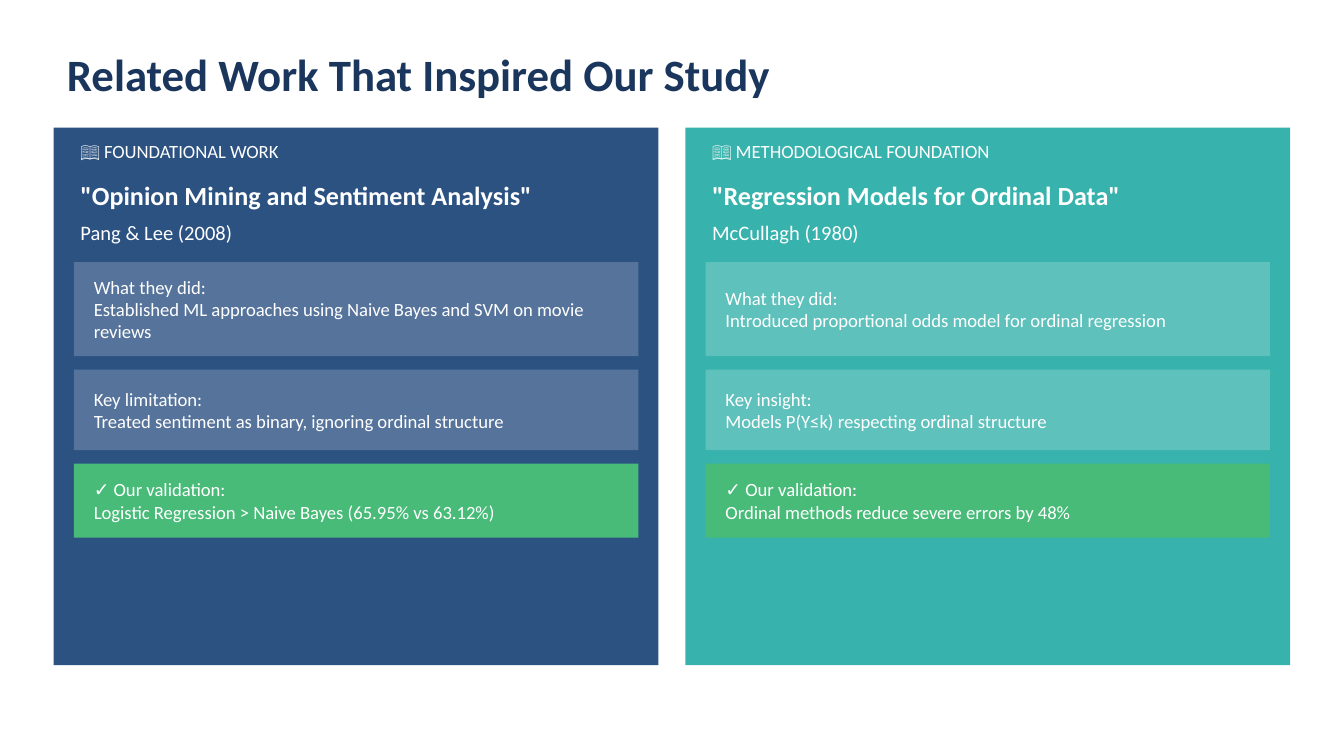
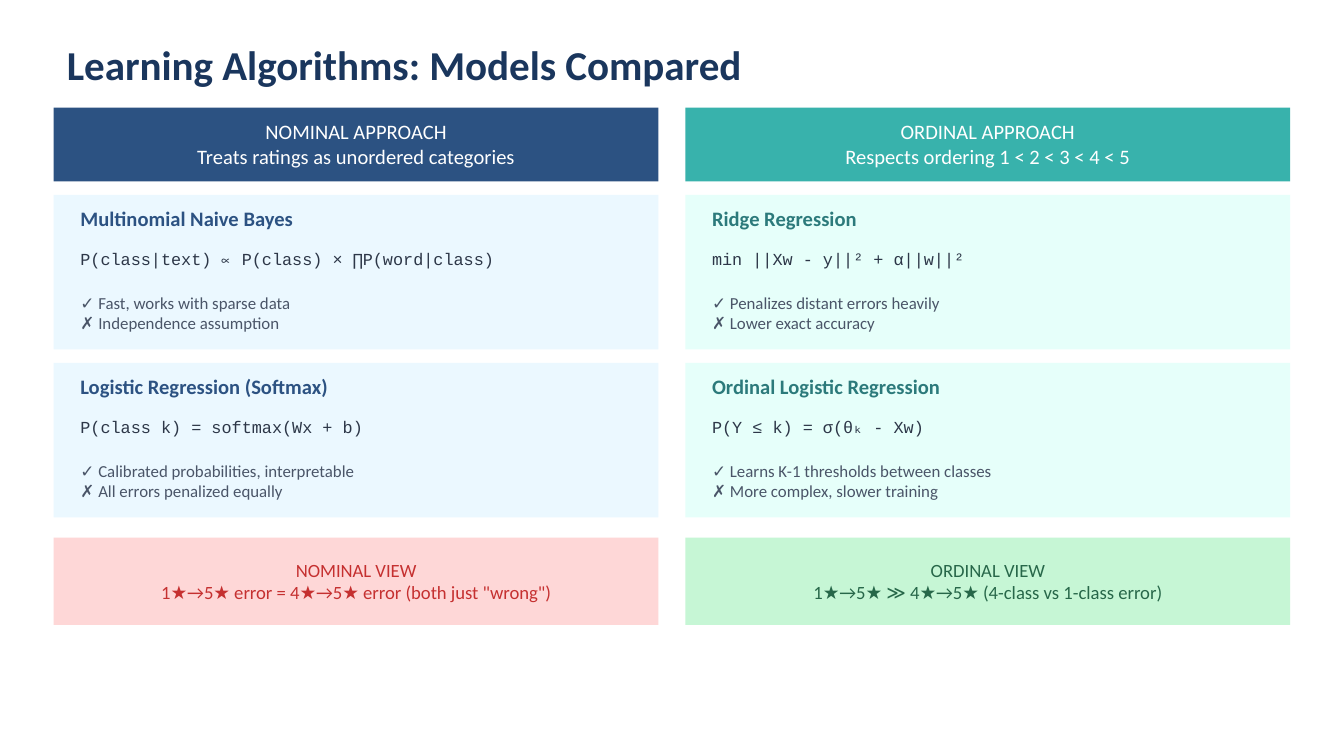
from lxml import etree
from pptx import Presentation
from pptx.dml.color import RGBColor
from pptx.enum.shapes import MSO_SHAPE
from pptx.enum.text import MSO_ANCHOR, PP_ALIGN
from pptx.oxml.ns import qn
from pptx.util import Inches, Pt

RECTANGLE = MSO_SHAPE.RECTANGLE
MIDDLE = MSO_ANCHOR.MIDDLE
LEFT, CENTER = PP_ALIGN.LEFT, PP_ALIGN.CENTER

SANS, MONO = "Calibri", "Courier New"
WHITE, NAVY, BLUE, TEAL, GREEN = "FFFFFF", "1A365D", "2C5282", "38B2AC", "48BB78"
INK, SLATE = "2D3748", "4A5568"

SLIDE_WIDTH = 10
SLIDE_HEIGHT = SLIDE_WIDTH * 9 / 16
MARGIN, GUTTER, PADDING = 0.4, 0.2, 0.1
CONTENT_WIDTH = SLIDE_WIDTH - 2 * MARGIN
COLUMN_WIDTH = (CONTENT_WIDTH - GUTTER) / 2
ROW_GAP = 0.1
INSET = 0.05

RELATED_TITLE = "Related Work That Inspired Our Study"
PAPERS = [
    {
        "color": BLUE,
        "label": "📖 FOUNDATIONAL WORK",
        "paper": '"Opinion Mining and Sentiment Analysis"',
        "authors": "Pang & Lee (2008)",
        "notes": [
            ("What they did:",
             "Established ML approaches using Naive Bayes and SVM on movie reviews"),
            ("Key limitation:", "Treated sentiment as binary, ignoring ordinal structure"),
            ("✓ Our validation:", "Logistic Regression > Naive Bayes (65.95% vs 63.12%)"),
        ],
    },
    {
        "color": TEAL,
        "label": "📖 METHODOLOGICAL FOUNDATION",
        "paper": '"Regression Models for Ordinal Data"',
        "authors": "McCullagh (1980)",
        "notes": [
            ("What they did:", "Introduced proportional odds model for ordinal regression"),
            ("Key insight:", "Models P(Y≤k) respecting ordinal structure"),
            ("✓ Our validation:", "Ordinal methods reduce severe errors by 48%"),
        ],
    },
]
# height, fill, opacity in percent
NOTE_STYLES = [(0.7, WHITE, 20), (0.6, WHITE, 20), (0.55, GREEN, 100)]

MODELS_TITLE = "Learning Algorithms: Models Compared"
APPROACHES = [
    {
        "color": BLUE, "card": "EBF8FF", "name_color": BLUE,
        "header": ("NOMINAL APPROACH", "Treats ratings as unordered categories"),
        "models": [
            ("Multinomial Naive Bayes", "P(class|text) ∝ P(class) × ∏P(word|class)",
             ("✓ Fast, works with sparse data", "✗ Independence assumption")),
            ("Logistic Regression (Softmax)", "P(class k) = softmax(Wx + b)",
             ("✓ Calibrated probabilities, interpretable", "✗ All errors penalized equally")),
        ],
        "view": ("NOMINAL VIEW", '1★→5★ error = 4★→5★ error (both just "wrong")'),
        "view_fill": "FED7D7", "view_color": "C53030",
    },
    {
        "color": TEAL, "card": "E6FFFA", "name_color": "2C7A7B",
        "header": ("ORDINAL APPROACH", "Respects ordering 1 < 2 < 3 < 4 < 5"),
        "models": [
            ("Ridge Regression", "min ||Xw - y||² + α||w||²",
             ("✓ Penalizes distant errors heavily", "✗ Lower exact accuracy")),
            ("Ordinal Logistic Regression", "P(Y ≤ k) = σ(θₖ - Xw)",
             ("✓ Learns K-1 thresholds between classes", "✗ More complex, slower training")),
        ],
        "view": ("ORDINAL VIEW", "1★→5★ ≫ 4★→5★ (4-class vs 1-class error)"),
        "view_fill": "C6F6D5", "view_color": "276749",
    },
]


def rgb(color):
    return RGBColor.from_string(color)


def column_left(column):
    return MARGIN + column * (COLUMN_WIDTH + GUTTER)


def add_panel(slide, left, top, width, height, color, opacity=100):
    shape = slide.shapes.add_shape(
        RECTANGLE, Inches(left), Inches(top), Inches(width), Inches(height))
    shape.shadow.inherit = False
    shape.line.fill.background()
    shape.fill.solid()
    shape.fill.fore_color.rgb = rgb(color)
    if opacity < 100:
        color_element = shape.fill._xPr.find(".//" + qn("a:srgbClr"))
        etree.SubElement(color_element, qn("a:alpha"), val=str(opacity * 1000))


def add_text(slide, left, top, width, height, lines, size, color,
             bold=False, font=SANS, align=LEFT):
    """Add a vertically centred text box with one paragraph per line."""
    box = slide.shapes.add_textbox(
        Inches(left), Inches(top), Inches(width), Inches(height))
    frame = box.text_frame
    frame.word_wrap = True
    frame.vertical_anchor = MIDDLE
    frame.text = "\n".join(lines)
    for paragraph in frame.paragraphs:
        paragraph.alignment = align
        paragraph.font.name = font
        paragraph.font.size = Pt(size)
        paragraph.font.bold = bold
        paragraph.font.color.rgb = rgb(color)


def add_column_text(slide, column, top, height, lines, size, color, **style):
    add_text(slide, column_left(column) + PADDING, top, COLUMN_WIDTH - 2 * PADDING,
             height, lines, size, color, **style)


def add_titled_slide(presentation, title, top, height, size):
    slide = presentation.slides.add_slide(presentation.slide_layouts[6])
    slide.background.fill.solid()
    slide.background.fill.fore_color.rgb = rgb(WHITE)
    add_text(slide, MARGIN, top, CONTENT_WIDTH, height, [title], size, NAVY, bold=True)
    return slide


def add_paper(slide, column, paper):
    left = column_left(column)
    add_panel(slide, left, 0.95, COLUMN_WIDTH, 4, paper["color"])
    add_column_text(slide, column, 1, 0.25, [paper["label"]], 10, WHITE)
    add_column_text(slide, column, 1.3, 0.3, [paper["paper"]], 14, WHITE, bold=True)
    add_column_text(slide, column, 1.6, 0.25, [paper["authors"]], 11, WHITE)

    note_left = left + PADDING + INSET
    note_width = COLUMN_WIDTH - 2 * (PADDING + INSET)
    top = 1.95
    for lines, (height, fill, opacity) in zip(paper["notes"], NOTE_STYLES):
        add_panel(slide, note_left, top, note_width, height, fill, opacity)
        add_text(slide, note_left + INSET, top + INSET, note_width - 2 * INSET,
                 height - 2 * INSET, lines, 10, WHITE)
        top += height + ROW_GAP


def add_approach(slide, column, approach):
    left = column_left(column)
    add_panel(slide, left, 0.8, COLUMN_WIDTH, 0.55, approach["color"])
    add_column_text(slide, column, 0.82, 0.5, approach["header"], 11, WHITE, align=CENTER)

    card_height = 1.15
    for row, (name, formula, verdicts) in enumerate(approach["models"]):
        top = 1.45 + row * (card_height + ROW_GAP)
        add_panel(slide, left, top, COLUMN_WIDTH, card_height, approach["card"])
        add_column_text(slide, column, top + INSET, 0.25, [name], 11,
                        approach["name_color"], bold=True)
        add_column_text(slide, column, top + 0.35, 0.25, [formula], 9, INK, font=MONO)
        add_column_text(slide, column, top + 0.65, 0.45, verdicts, 9, SLATE)

    add_panel(slide, left, 4, COLUMN_WIDTH, 0.65, approach["view_fill"])
    add_column_text(slide, column, 4 + INSET, 0.55, approach["view"], 10,
                    approach["view_color"], align=CENTER)


def main():
    presentation = Presentation()
    presentation.slide_width = Inches(SLIDE_WIDTH)
    presentation.slide_height = Inches(SLIDE_HEIGHT)

    related_work = add_titled_slide(presentation, RELATED_TITLE, 0.3, 0.5, 24)
    for column, paper in enumerate(PAPERS):
        add_paper(related_work, column, paper)

    models = add_titled_slide(presentation, MODELS_TITLE, 0.25, 0.45, 22)
    for column, approach in enumerate(APPROACHES):
        add_approach(models, column, approach)

    presentation.save("out.pptx")


if __name__ == "__main__":
    main()
